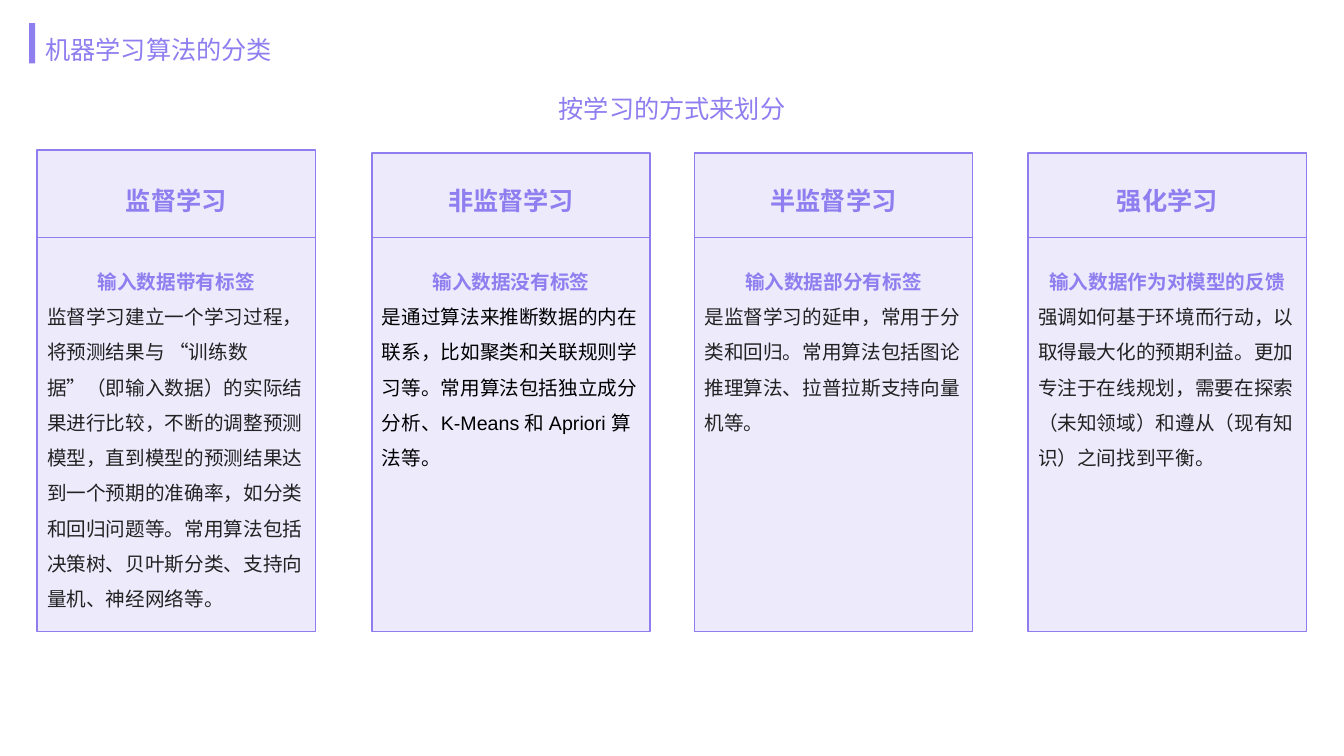
from dataclasses import dataclass

from pptx import Presentation
from pptx.dml.color import RGBColor
from pptx.enum.lang import MSO_LANGUAGE_ID as Lang
from pptx.enum.shapes import MSO_CONNECTOR as Connector, MSO_SHAPE as Shape
from pptx.enum.text import MSO_ANCHOR as Anchor, MSO_AUTO_SIZE as AutoSize, PP_ALIGN as Align
from pptx.oxml.ns import qn
from pptx.shapes.autoshape import Shape as AutoShape
from pptx.slide import Slide
from pptx.text.text import TextFrame
from pptx.util import Pt
from lxml.etree import SubElement

COLORS = {"violet": "8E7EF0", "lilac": "EDEAFC", "gray": "222222", "black": "000000"}
CARD_WIDTH = 198.7
CARD_BOTTOM = 451.2
HEADING_TOP = 128.9
DIVIDER_TOP = 169.2
BODY_TOP = 180.7


@dataclass(frozen=True)
class Run:
    text: str
    size: float = 18
    font: str = "Arial"
    color: str = "violet"
    bold: bool = False


@dataclass(frozen=True)
class Card:
    left: float
    heading: str
    label: str
    body: str
    body_height: float
    top: float = 109.4
    body_font: str = "Roboto"
    body_color: str = "gray"


CARDS = [
    Card(26.6, "监督学习", "输入数据带有标签",
         "监督学习建立一个学习过程，将预测结果与 “训练数据”（即输入数据）的实际结果进行比较，"
         "不断的调整预测模型，直到模型的预测结果达到一个预期的准确率，如分类和回归问题等。"
         "常用算法包括决策树、贝叶斯分类、支持向量机、神经网络等。",
         258.5, top=107.3),
    Card(265.7, "非监督学习", "输入数据没有标签",
         "是通过算法来推断数据的内在联系，比如聚类和关联规则学习等。"
         "常用算法包括独立成分分析、K-Means 和 Apriori 算法等。",
         157, body_font="Arial", body_color="black"),
    Card(496.1, "半监督学习", "输入数据部分有标签",
         "是监督学习的延申，常用于分类和回归。"
         "常用算法包括图论推理算法、拉普拉斯支持向量机等。", 131.8),
    Card(734.4, "强化学习", "输入数据作为对模型的反馈",
         "强调如何基于环境而行动，以取得最大化的预期利益。"
         "更加专注于在线规划，需要在探索（未知领域）和遵从（现有知识）之间找到平衡。", 157),
]


def rgb(name: str) -> RGBColor:
    return RGBColor.from_string(COLORS[name])


def write(tf: TextFrame, run: Run, align: Align, spacing: float = 1, first: bool = True) -> None:
    p = tf.paragraphs[0] if first else tf.add_paragraph()
    p.alignment = align
    p.line_spacing = spacing
    p.space_before = Pt(0)
    r = p.add_run()
    r.text = run.text
    r.font.size = Pt(run.size)
    r.font.name = run.font
    r.font.bold = run.bold
    r.font.color.rgb = rgb(run.color)
    r.font.language_id = Lang.SIMPLIFIED_CHINESE


def add_text(s: Slide, left: float, top: float, width: float, height: float) -> TextFrame:
    tf = s.shapes.add_textbox(Pt(left), Pt(top), Pt(width), Pt(height)).text_frame
    tf.word_wrap = True
    tf.auto_size = AutoSize.SHAPE_TO_FIT_TEXT
    return tf


def add_rect(s: Slide, left: float, top: float, width: float, height: float, fill: str) -> AutoShape:
    sp = s.shapes.add_shape(Shape.RECTANGLE, Pt(left), Pt(top), Pt(width), Pt(height))
    sp.shadow.inherit = False
    sp.fill.solid()
    sp.fill.fore_color.rgb = rgb(fill)
    sp.line.fill.background()
    return sp


def add_divider(s: Slide, left: float, top: float, width: float) -> None:
    line = s.shapes.add_connector(Connector.STRAIGHT, Pt(left), Pt(top), Pt(left + width), Pt(top))
    line.line.color.rgb = rgb("violet")
    line.line.width = Pt(0.5)
    SubElement(line._element.spPr, qn("a:effectLst"))


def add_card(s: Slide, card: Card) -> None:
    panel = add_rect(s, card.left, card.top, CARD_WIDTH, CARD_BOTTOM - card.top, "lilac")
    panel.line.color.rgb = rgb("violet")
    panel.line.width = Pt(1)

    heading = add_text(s, card.left, HEADING_TOP, CARD_WIDTH, 29)
    write(heading, Run(card.heading, bold=True), Align.CENTER)

    body = add_text(s, card.left, BODY_TOP, CARD_WIDTH, card.body_height)
    write(body, Run(card.label, 14, "Roboto", bold=True), Align.CENTER, 1.5)
    write(body, Run(card.body, 14, card.body_font, card.body_color), Align.LEFT, 1.5, first=False)

    add_divider(s, card.left, DIVIDER_TOP, CARD_WIDTH)


def main() -> None:
    prs = Presentation()
    prs.slide_width, prs.slide_height = Pt(960), Pt(540)
    s = prs.slides.add_slide(prs.slide_layouts[5])

    # Title with its accent bar
    title = s.shapes.title
    title.left, title.top, title.width, title.height = Pt(25.2), Pt(16.6), Pt(720), Pt(31)
    tf = title.text_frame
    tf.word_wrap = True
    tf.auto_size = AutoSize.NONE
    tf.vertical_anchor = Anchor.TOP
    write(tf, Run("机器学习算法的分类"), Align.LEFT, 1.2)
    add_rect(s, 20.9, 16.6, 4.3, 28.8, "violet")

    # Four learning types
    for card in CARDS:
        add_card(s, card)

    # Subtitle
    write(add_text(s, 240, 63.4, 480, 29), Run("按学习的方式来划分"), Align.CENTER)

    prs.save("out.pptx")


if __name__ == "__main__":
    main()
